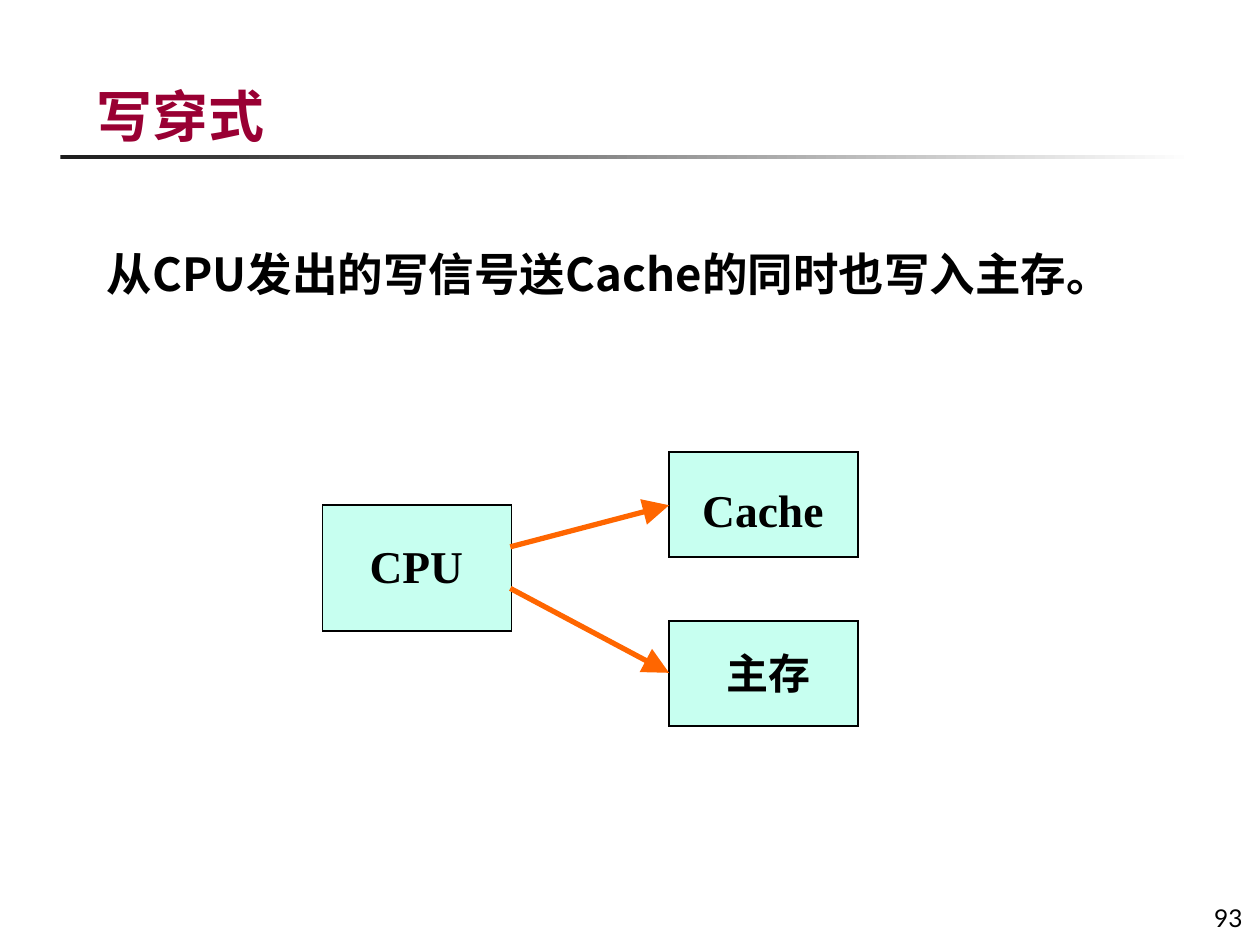
from pptx import Presentation
from pptx.dml.color import RGBColor
from pptx.enum.shapes import MSO_CONNECTOR, MSO_SHAPE
from pptx.enum.text import MSO_ANCHOR, PP_ALIGN
from pptx.oxml.ns import qn
from pptx.util import Inches, Pt
from lxml.etree import SubElement

COLORS = {
    "title": "990033",
    "text": "000000",
    "mint": "C7FFF0",
    "arrow": "FF6600",
    "dark": "1C1C1C",
    "light": "FFFFFF",
}
SANS = "Noto Sans CJK SC"
SERIF = "Times New Roman"


def color(name):
    return RGBColor.from_string(COLORS[name])


def add_text(slide, text, left, top, width, height, size=26, font=SANS,
             ink="text", bold=True, align=PP_ALIGN.LEFT,
             anchor=MSO_ANCHOR.TOP, spacing=None):
    box = slide.shapes.add_textbox(Inches(left), Inches(top),
                                   Inches(width), Inches(height))
    frame = box.text_frame
    frame.word_wrap = True
    frame.vertical_anchor = anchor
    para = frame.paragraphs[0]
    para.alignment = align
    if spacing:
        para.line_spacing = spacing
    run = para.add_run()
    run.text = text
    run.font.size = Pt(size)
    run.font.bold = bold
    run.font.name = font
    run.font.color.rgb = color(ink)
    # East Asian characters take their font from a separate element
    SubElement(run._r.get_or_add_rPr(), qn("a:ea"), typeface=font)


def add_rect(slide, left, top, width, height):
    rect = slide.shapes.add_shape(MSO_SHAPE.RECTANGLE, Inches(left),
                                  Inches(top), Inches(width), Inches(height))
    rect.shadow.inherit = False
    return rect


def add_rule(slide):
    rule = add_rect(slide, 0.48, 1.23, 9, 0.03)
    rule.line.fill.background()
    rule.fill.gradient()
    rule.fill.gradient_angle = 0
    for stop, name in zip(rule.fill.gradient_stops, ("dark", "light")):
        stop.color.rgb = color(name)


def add_node(slide, left, top, height):
    node = add_rect(slide, left, top, 1.5, height)
    node.fill.solid()
    node.fill.fore_color.rgb = color("mint")
    node.line.color.rgb = color("text")
    node.line.width = Pt(1)
    SubElement(node.line._get_or_add_ln(), qn("a:miter"), lim="800000")


def add_arrow(slide, start, end):
    ends = [Inches(v) for v in (*start, *end)]
    arrow = slide.shapes.add_connector(MSO_CONNECTOR.STRAIGHT, *ends)
    arrow.line.color.rgb = color("arrow")
    arrow.line.width = Pt(3)
    SubElement(arrow.line._get_or_add_ln(), qn("a:tailEnd"),
               type="triangle", w="lg", len="lg")
    SubElement(arrow._element.spPr, qn("a:effectLst"))


def main():
    deck = Presentation()
    deck.slide_width, deck.slide_height = Inches(10), Inches(7.5)
    slide = deck.slides.add_slide(deck.slide_layouts[6])

    # Title, rule and page number
    add_rule(slide)
    add_text(slide, "93", 9.27, 6.95, 0.69, 0.5, size=14, font="Lato",
             bold=False, align=PP_ALIGN.RIGHT, anchor=MSO_ANCHOR.BOTTOM)
    add_text(slide, "写穿式", 0.67, 0.23, 7.99, 1, size=32, ink="title",
             anchor=MSO_ANCHOR.BOTTOM)

    # Statement
    add_text(slide, "从CPU发出的写信号送Cache的同时也写入主存。",
             0.75, 1.86, 8.5, 0.87, spacing=1.1)

    # Nodes
    for left, top, height in ((2.56, 4.01, 1), (5.31, 3.59, 0.83),
                              (5.31, 4.93, 0.83)):
        add_node(slide, left, top, height)

    # Node labels
    center = PP_ALIGN.CENTER
    add_text(slide, "CPU", 2.72, 4.22, 1.17, 0.54, font=SERIF, align=center)
    add_text(slide, "Cache", 5.45, 3.78, 1.21, 0.54, font=SERIF, align=center)
    add_text(slide, "主存", 5.56, 5.09, 1.08, 0.5, size=24, align=center)

    # Writes from the CPU to both stores
    add_arrow(slide, (4.05, 4.34), (5.31, 4.01))
    add_arrow(slide, (4.05, 4.67), (5.31, 5.34))

    deck.save("out.pptx")


if __name__ == "__main__":
    main()
